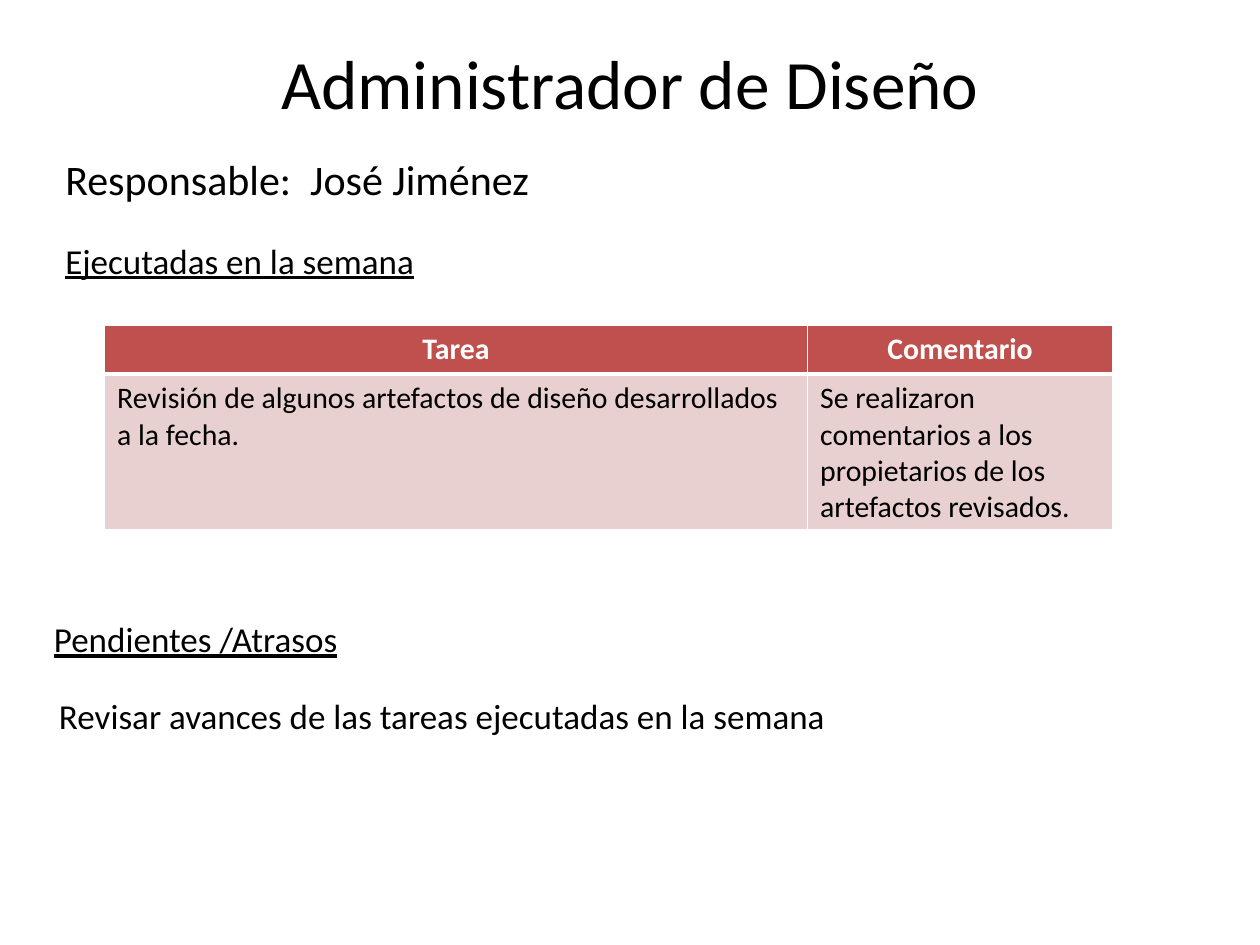
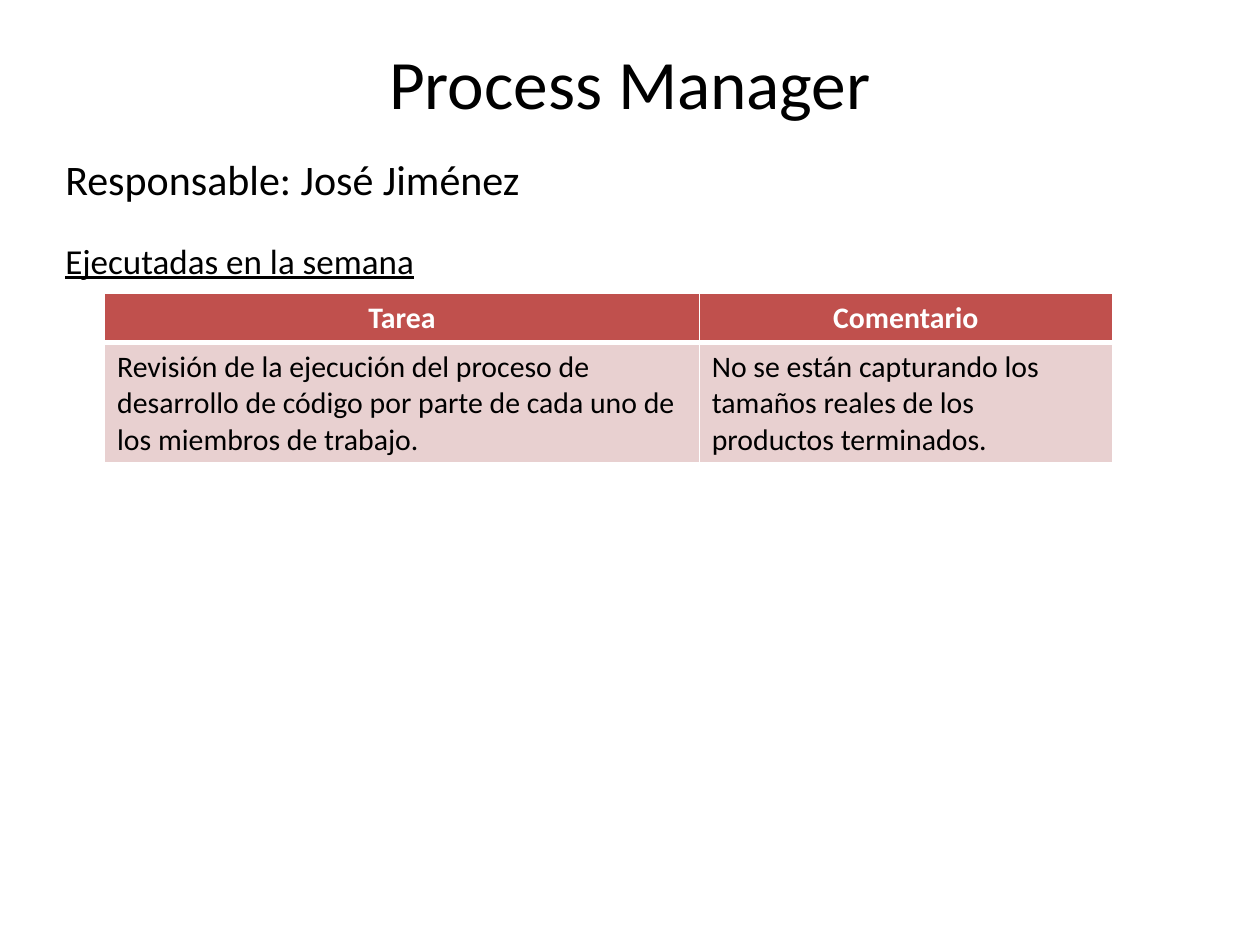
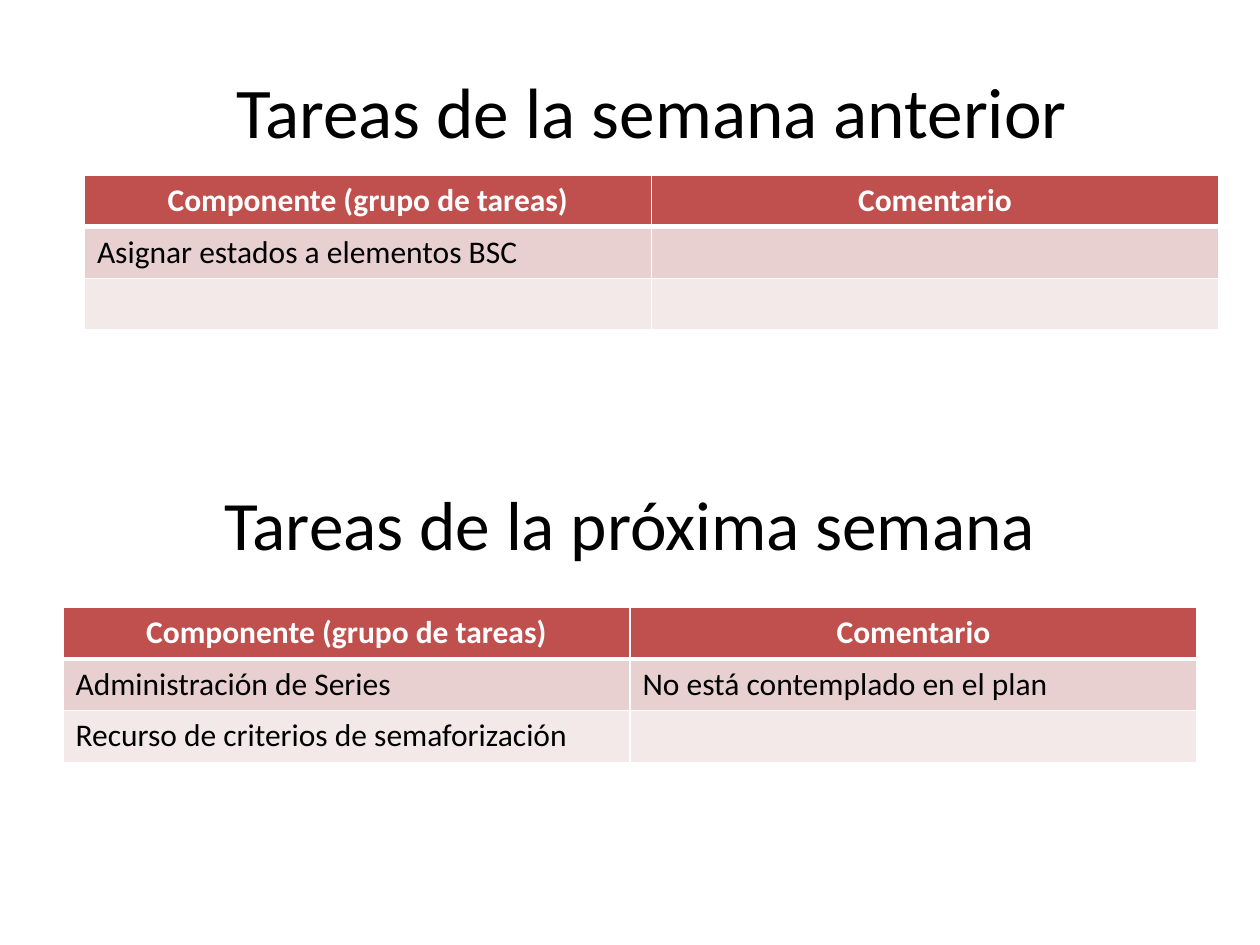
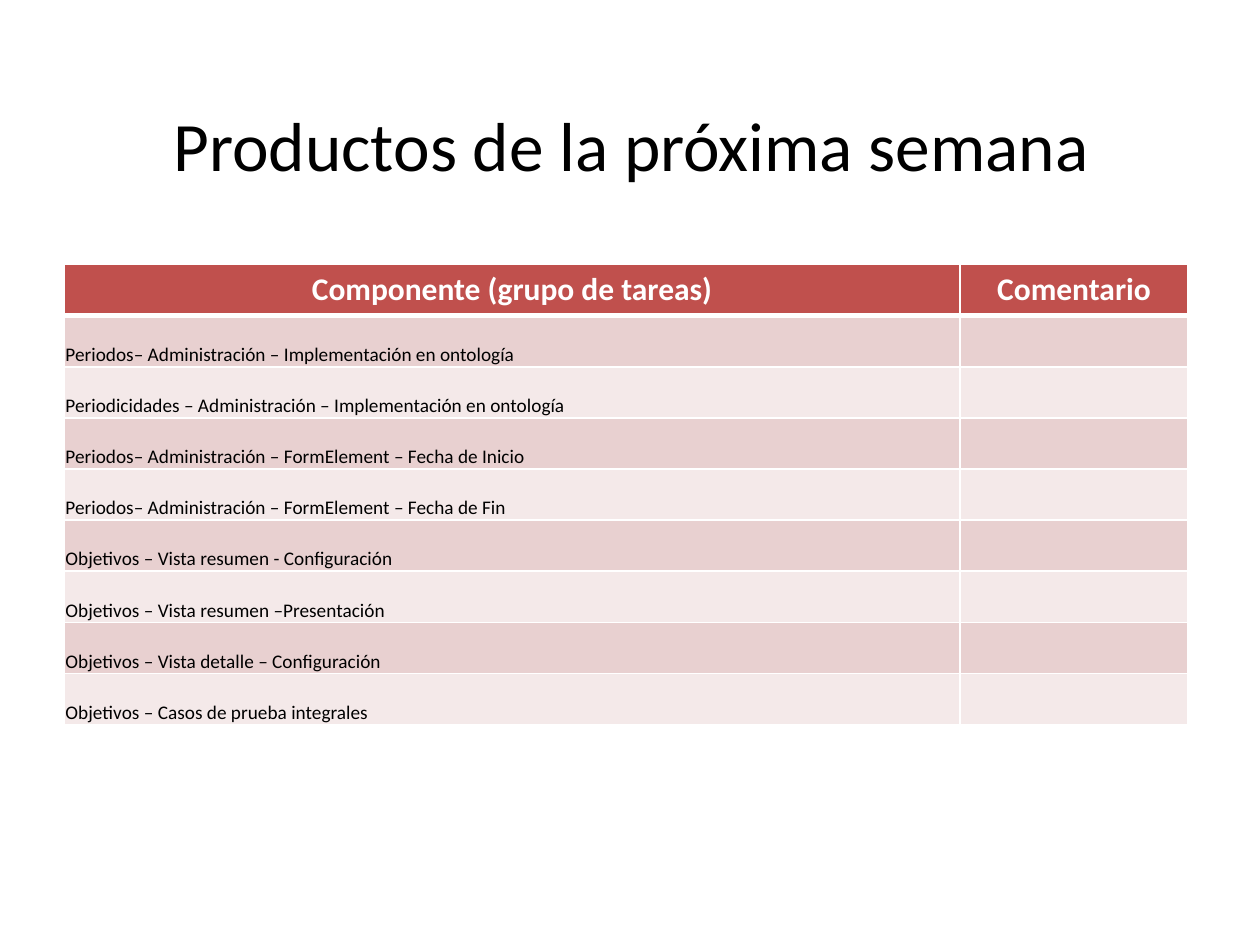
from pptx import Presentation
from pptx import util as u
from pptx.dml import color as dml
from pptx.enum import text as t
from lxml import etree

RED, ROSE, PALE = "C0504D", "E8D0D0", "F4E9E9"
WHITE, BLACK = "FFFFFF", "000000"
FONT = "Calibri"
NS = "http://schemas.openxmlformats.org/drawingml/2006/main"
MID = t.PP_ALIGN.CENTER
GROUP = ("Componente (grupo de tareas)", "Comentario")
TASK = ("Tarea", "Comentario")


def paint(hue):
    return dml.RGBColor.from_string(hue)


def style(par, size, hue=BLACK, bold=False, line=False):
    for run in par.runs:
        font = run.font
        font.name, font.size = FONT, u.Pt(size)
        font.color.rgb = paint(hue)
        font.bold, font.underline = bold, line


def place(shape, box):
    shape.left, shape.top, shape.width, shape.height = map(u.Inches, box)


def head(shape, words, size):
    frame = shape.text_frame
    frame.word_wrap = True
    frame.auto_size = t.MSO_AUTO_SIZE.NONE
    frame.vertical_anchor = t.MSO_ANCHOR.MIDDLE
    frame.text = words
    par = frame.paragraphs[0]
    par.alignment = MID
    style(par, size)


def start(deck, words, box):
    slide = deck.slides.add_slide(deck.slide_layouts[5])
    place(slide.shapes.title, box)
    head(slide.shapes.title, words, 39.6)
    return slide


def note(slide, box, lines):
    frame = slide.shapes.add_textbox(*map(u.Inches, box)).text_frame
    frame.word_wrap = True
    for i, (words, size, line) in enumerate(lines):
        par = frame.add_paragraph() if i else frame.paragraphs[0]
        par.text = words
        if i:
            par.space_before = u.Pt(20)
        style(par, size, line=line)


def edge(cell, low):
    props = cell._tc.get_or_add_tcPr()
    for side in "LRTB":
        width = low if side == "B" else 1
        line = etree.SubElement(props, f"{{{NS}}}ln{side}", w=str(u.Pt(width)))
        fill = etree.SubElement(line, f"{{{NS}}}solidFill")
        etree.SubElement(fill, f"{{{NS}}}srgbClr", val=WHITE)


def grid(slide, spot, cols, highs, rows, size, small=None):
    box = (*spot, sum(cols), sum(highs))
    table = slide.shapes.add_table(
        len(rows), len(cols), *map(u.Inches, box)).table
    for col, wide in zip(table.columns, cols):
        col.width = u.Inches(wide)
    for r, (row, high) in enumerate(zip(rows, highs)):
        table.rows[r].height = u.Inches(high)
        for c, words in enumerate(row):
            cell = table.cell(r, c)
            edge(cell, 1 if r else 3)
            cell.fill.solid()
            hue = (PALE, ROSE)[r % 2] if r else RED
            cell.fill.fore_color.rgb = paint(hue)
            if not words:
                continue
            cell.text = words
            par = cell.text_frame.paragraphs[0]
            if not r:
                par.alignment = MID
                style(par, size, WHITE, True)
                continue
            style(par, small or size)
            if small:
                cell.vertical_anchor = t.MSO_ANCHOR.BOTTOM
                cell.margin_left = cell.margin_right = u.Inches(0.01)
                cell.margin_top, cell.margin_bottom = u.Inches(0.01), 0


def role(deck, words, owner, top, cols, high, row):
    slide = start(deck, words, (0.5, 0.3, 9, 0.7))
    note(slide, (0.42, 1.17, 9.33, 1.25),
         [(owner, 24, False), ("Ejecutadas en la semana", 20, True)])
    grid(slide, (0.83, top), cols, (0.39, high), (TASK, row), 17)
    return slide


def design(deck):
    slide = role(
        deck, "Administrador de Diseño", "Responsable:  José Jiménez",
        2.58, (5.58, 2.42), 1.23,
        ("Revisión de algunos artefactos de diseño desarrollados a la fecha.",
         "Se realizaron comentarios a los propietarios de los artefactos "
         "revisados."))
    note(slide, (0.33, 4.85, 9.33, 0.58), [("Pendientes /Atrasos", 20, True)])
    note(slide, (0.37, 5.46, 9.33, 0.58),
         [("Revisar avances de las tareas ejecutadas en la semana", 20, False)])


def process(deck):
    role(deck, "Process Manager", "Responsable: José Jiménez",
         2.33, (4.72, 3.28), 0.94,
         ("Revisión de la ejecución del proceso de desarrollo de código por "
          "parte de cada uno de los miembros de trabajo.",
          "No se están capturando los tamaños reales de los productos "
          "terminados."))


def tasks(deck):
    slide = start(deck, "Tareas de la próxima semana", (0.5, 3.76, 9, 0.78))
    cols, highs = (4.5, 4.5), (0.41,) * 3
    grid(slide, (0.5, 4.82), cols, highs,
         (GROUP,
          ("Administración de Series", "No está contemplado en el plan"),
          ("Recurso de criterios de semaforización", "")), 18)
    last = slide.shapes.add_textbox(*map(u.Inches, (0.67, 0.52, 9, 0.71)))
    head(last, "Tareas de la semana anterior", 40.7)
    grid(slide, (0.67, 1.39), cols, highs,
         (GROUP, ("Asignar estados a elementos BSC", ""), ("", "")), 18)


def goods(deck):
    slide = start(deck, "Productos de la próxima semana",
                  (0.51, 0.76, 9, 0.77))
    items = (
        "Periodos– Administración – Implementación en ontología",
        "Periodicidades – Administración – Implementación en ontología",
        "Periodos– Administración – FormElement – Fecha de Inicio",
        "Periodos– Administración – FormElement – Fecha de Fin",
        "Objetivos – Vista resumen - Configuración",
        "Objetivos – Vista resumen –Presentación",
        "Objetivos – Vista detalle – Configuración",
        "Objetivos – Casos de prueba integrales",
    )
    rows = [GROUP] + [(item, "") for item in items]
    grid(slide, (0.51, 2.1), (7.11, 1.81), (0.4,) * len(rows), rows, 18, 11)


def main():
    deck = Presentation()
    deck.slide_width, deck.slide_height = u.Inches(10), u.Inches(7.5)
    for build in (design, process, tasks, goods):
        build(deck)
    deck.save("out.pptx")


main()
